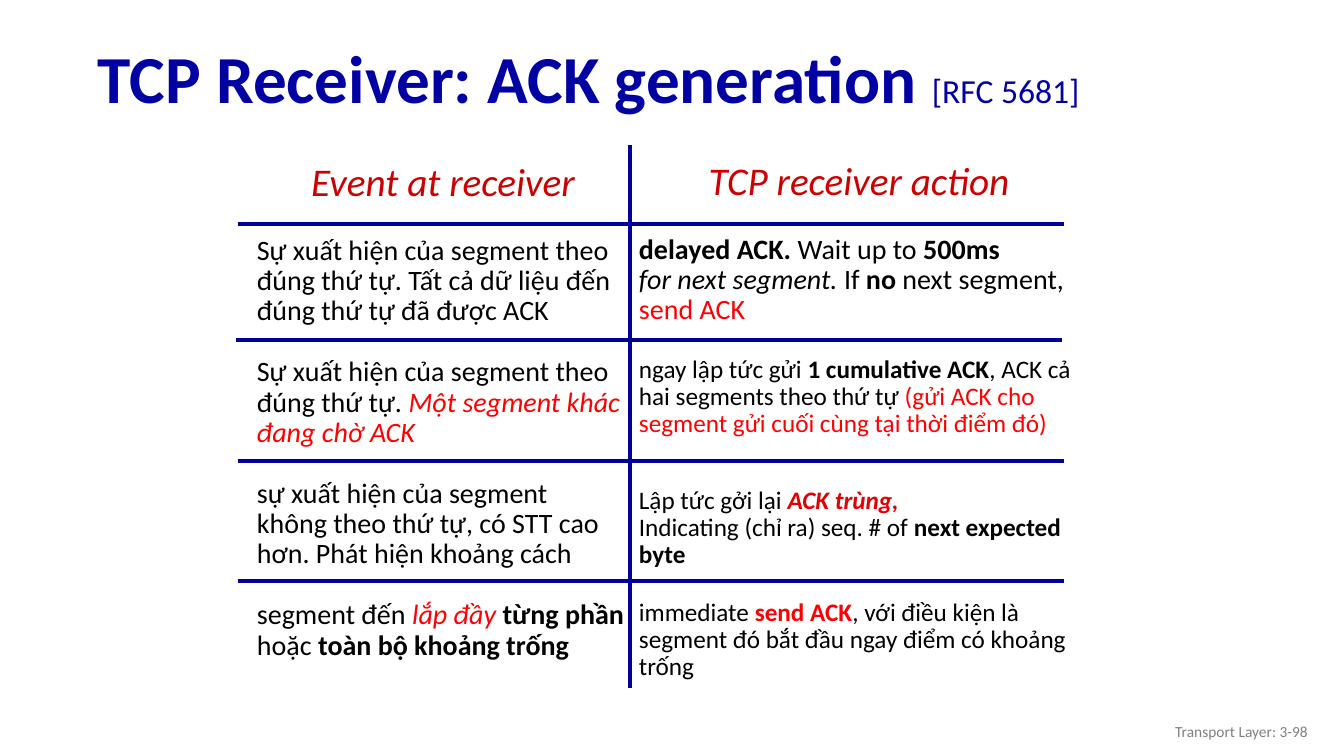
from lxml import etree
from pptx import Presentation
from pptx import util as u
from pptx.dml.color import RGBColor
from pptx.enum import shapes, text
from pptx.oxml import ns

TITLE_BLUE = RGBColor(0x00, 0x00, 0xA3)
RULE_BLUE = RGBColor(0x00, 0x00, 0x99)
HEADING_RED = RGBColor(0xCC, 0x00, 0x00)
RED = RGBColor(0xFF, 0x00, 0x00)
DUP_RED = RGBColor(0xE4, 0x00, 0x00)
BLACK = RGBColor(0x00, 0x00, 0x00)
GREY = RGBColor(0x80, 0x80, 0x80)

LEFT, CENTER, RIGHT = text.PP_ALIGN.LEFT, text.PP_ALIGN.CENTER, text.PP_ALIGN.RIGHT
ROW_GAP, WIDE_GAP = 22, 35


def run(words, size=20, color=BLACK, style=""):
    return words, size, color, style


def para(*runs, before=0, align=LEFT):
    return runs, before, align


class Deck:
    """Draws text and rules on one slide in a shared style."""

    FONT = "Calibri"
    RULE_WIDTH = 2.25

    def __init__(self, prs):
        self.slide = prs.slides.add_slide(prs.slide_layouts[6])

    @staticmethod
    def px(n):
        return u.Emu(round(n * 914400 / 100.8))

    def text(self, x, y, w, h, paras, middle=False, spacing=0.9):
        box = self.slide.shapes.add_textbox(*map(self.px, (x, y, w, h)))
        tf = box.text_frame
        tf.word_wrap = True
        tf.vertical_anchor = text.MSO_ANCHOR.MIDDLE if middle else text.MSO_ANCHOR.TOP
        for i, (runs, before, align) in enumerate(paras):
            p = tf.add_paragraph() if i else tf.paragraphs[0]
            p.alignment = align
            p.line_spacing = spacing
            if before:
                p.space_before = u.Pt(before)
            for words, size, color, style in runs:
                r = p.add_run()
                r.text = words
                r.font.name = self.FONT
                r.font.size = u.Pt(size)
                r.font.color.rgb = color
                r.font.bold = "b" in style
                r.font.italic = "i" in style

    def rule(self, x1, y1, x2, y2):
        line = self.slide.shapes.add_connector(
            shapes.MSO_CONNECTOR.STRAIGHT, *map(self.px, (x1, y1, x2, y2)))
        line.line.color.rgb = RULE_BLUE
        line.line.width = u.Pt(self.RULE_WIDTH)
        etree.SubElement(line._element.spPr, ns.qn("a:effectLst"))


EVENTS = [
    para(run("Event at receiver", 28, HEADING_RED, "i"), align=CENTER),
    para(run("Sự xuất hiện của segment theo"), before=ROW_GAP),
    para(run("đúng thứ tự. Tất cả dữ liệu đến")),
    para(run("đúng thứ tự đã được ACK")),
    para(run("Sự xuất hiện của segment theo"), before=ROW_GAP),
    para(run("đúng thứ tự. "), run("Một segment khác", color=RED, style="i")),
    para(run("đang chờ ACK", color=RED, style="i")),
    para(run("sự xuất hiện của segment"), before=ROW_GAP),
    para(run("không theo thứ tự, có STT cao")),
    para(run("hơn. Phát hiện khoảng cách")),
    para(run("segment đến "), run("lắp đầy ", color=RED, style="i"),
         run("từng phần", style="b"), before=ROW_GAP),
    para(run("hoặc "), run("toàn bộ khoảng trống", style="b")),
]

ACTIONS = [
    para(run("TCP receiver action", 28, HEADING_RED, "i"), align=CENTER),
    para(run("delayed ACK. ", style="b"), run("Wait up to "),
         run("500ms", style="b"), before=ROW_GAP),
    para(run("for next segment. ", style="i"), run("If "),
         run("no", style="b"), run(" next segment,")),
    para(run("send ACK", color=RED)),
    para(run("ngay lập tức gửi ", 18), run("1 cumulative ACK", 18, style="b"),
         run(", ACK cả hai segments theo thứ tự ", 18),
         run("(gửi ACK cho segment gửi cuối cùng tại thời điểm đó)", 18, RED),
         before=ROW_GAP),
    para(run("Lập tức gởi lại ", 18), run("ACK trùng,", 18, DUP_RED, "bi"),
         before=WIDE_GAP),
    para(run("Indicating (chỉ ra) seq. # of ", 18),
         run("next expected byte", 18, style="b")),
    para(run("immediate ", 18), run("send ACK", 18, RED, "b"),
         run(", với điều kiện là segment đó bắt đầu ngay điểm có khoảng trống", 18),
         before=ROW_GAP),
]


def main():
    prs = Presentation()
    prs.slide_width, prs.slide_height = Deck.px(1344), Deck.px(756)
    s = Deck(prs)
    s.text(88, 32, 1256, 99, [
        para(run("TCP Receiver: ACK generation ", 48, TITLE_BLUE, "b"),
             run("[RFC 5681]", 24, TITLE_BLUE))], middle=True)
    s.text(247, 158, 392, 511, EVENTS)
    s.text(629, 157, 460, 541, ACTIONS)
    s.rule(630, 145, 630, 688)
    for x, y in ((238, 224), (236, 340), (238, 461), (238, 581)):
        s.rule(x, y, x + 826, y)
    s.text(1016, 711, 302, 40, [
        para(run("Transport Layer: 3-98", 11, GREY), align=RIGHT)],
        middle=True, spacing=1.0)
    prs.save("out.pptx")


if __name__ == "__main__":
    main()
